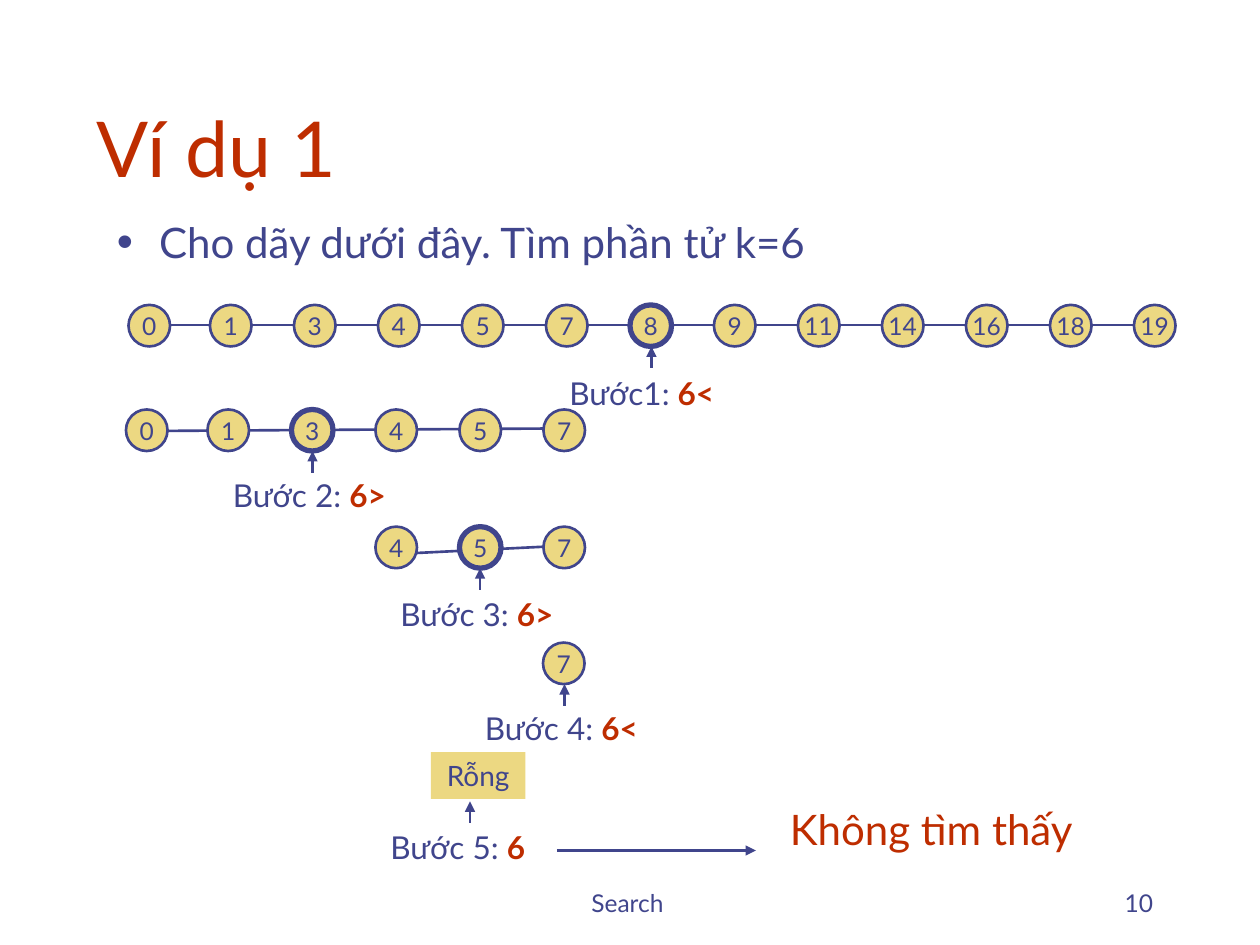
from lxml.etree import SubElement
from pptx import Presentation
from pptx.dml.color import RGBColor
from pptx.enum.shapes import MSO_CONNECTOR, MSO_SHAPE
from pptx.enum.text import MSO_ANCHOR, MSO_AUTO_SIZE, PP_ALIGN
from pptx.oxml.ns import qn
from pptx.util import Inches, Pt

INK, RED, GOLD = "40458C", "BE2D00", "ECD882"
SIZE, STEP = 0.33, 2 / 3
GROW = {"auto_size": MSO_AUTO_SIZE.SHAPE_TO_FIT_TEXT}
BASE = {"vertical_anchor": MSO_ANCHOR.BOTTOM}
ROWS = [
    (1.0, 2.42, [0, 1, 3, 4, 5, 7, 8, 9, 11, 14, 16, 18, 19], 8, (1.35, 2.58, 9, 2.58)),
    (0.98, 3.25, [0, 1, 3, 4, 5, 7], 3, (1.33, 3.42, 4.5, 3.4)),
    (2.98, 4.18, [4, 5, 7], 5, (3.08, 4.4, 4.5, 4.33)),
    (4.31, 5.1, [7], None, None),
]
STEPS = [
    (4.42, 2.92, "Bước1: ", "6<", 5.17, 2.92),
    (1.75, 3.73, "Bước 2: ", "6>", 2.48, 3.75),
    (3.08, 4.67, "Bước 3: ", "6>", 3.81, 4.68),
    (3.75, 5.58, "Bước 4: ", "6<", 4.48, 5.6),
    (3.0, 6.52, "Bước 5: ", "6", 3.73, 6.53),
]


def color(code):
    """Turn a hex string into a colour."""
    return RGBColor.from_string(code)


def apply(item, values):
    """Set each named value on the item."""
    for name, value in values.items():
        setattr(item, name, value)


def write(shape, runs, size, align, frame, gap=0):
    """Fill a shape with one paragraph of (text, colour, bold) runs."""
    apply(shape.text_frame, {"word_wrap": True, **frame})
    para = shape.text_frame.paragraphs[0]
    apply(para, {"alignment": align, "space_before": Pt(gap)})
    for text, code, bold in runs:
        run = para.add_run()
        run.text = text
        apply(run.font, {"name": "Lato", "size": Pt(size), "bold": bold})
        run.font.color.rgb = color(code)
    return para


def label(slide, box, runs, size, align=PP_ALIGN.JUSTIFY, frame=GROW, gap=0):
    """Add a text box and return its paragraph."""
    shape = slide.shapes.add_textbox(*map(Inches, box))
    return write(shape, runs, size, align, frame, gap)


def bullet(para):
    """Give a paragraph a round bullet with a hanging indent."""
    props = para._p.get_or_add_pPr()
    props.set("marL", str(Inches(0.25)))
    props.set("indent", str(-Inches(0.25)))
    tint = SubElement(props, qn("a:buClr"))
    SubElement(tint, qn("a:srgbClr"), val=INK)
    SubElement(props, qn("a:buSzPct"), val="110000")
    SubElement(props, qn("a:buFont"), typeface="Arial")
    SubElement(props, qn("a:buChar"), char="•")


def line(slide, ends, arrow=False):
    """Draw a straight line, with an arrowhead at its end if asked."""
    link = slide.shapes.add_connector(MSO_CONNECTOR.STRAIGHT, *map(Inches, ends))
    link.line.color.rgb = color(INK)
    link.line.width = Pt(1.5)
    if arrow:
        SubElement(link.line._get_or_add_ln(), qn("a:tailEnd"), type="triangle")
    SubElement(link._element.spPr, qn("a:effectLst"))


def block(slide, kind, box):
    """Add a gold shape without a shadow."""
    shape = slide.shapes.add_shape(kind, *map(Inches, box))
    shape.shadow.inherit = False
    shape.fill.solid()
    shape.fill.fore_color.rgb = color(GOLD)
    return shape


def node(slide, left, top, value, width):
    """Add a numbered circle."""
    shape = block(slide, MSO_SHAPE.OVAL, (left, top, SIZE, SIZE))
    shape.line.color.rgb = color(INK)
    shape.line.width = Pt(width)
    frame = {"word_wrap": False, "vertical_anchor": MSO_ANCHOR.MIDDLE}
    write(shape, [(str(value), INK, False)], 14, PP_ALIGN.CENTER, frame)


def chain(slide, left, top, values, pivot, ends):
    """Draw a row of circles on a line, with the pivot outlined boldly."""
    if ends:
        line(slide, ends)
    for i, value in enumerate(values):
        nudge = 0.02 if value == 0 else 0
        node(slide, left + i * STEP + nudge, top, value, 3 if value == pivot else 1.5)


def step(slide, left, top, name, test, tip, base):
    """Add a step label with a short arrow pointing up."""
    label(slide, (left, top, 1.75, 0.4), [(name, INK, False), (test, RED, True)], 18, gap=11.2)
    line(slide, (tip, base, tip, base - 0.17), True)


def main():
    """Build the slide and save it."""
    deck = Presentation()
    apply(deck, {"slide_width": Inches(10), "slide_height": Inches(7.5)})
    slide = deck.slides.add_slide(deck.slide_layouts[6])
    label(slide, (3.42, 6.83, 3.17, 0.5), [("Search ", INK, False)], 14, PP_ALIGN.CENTER, BASE)
    label(slide, (7.17, 6.83, 2.08, 0.5), [("10", INK, False)], 14, PP_ALIGN.RIGHT, BASE)
    label(slide, (0.67, 0.33, 8.5, 1.25), [("Ví dụ 1", RED, False)], 44, PP_ALIGN.LEFT, BASE)
    task = [(" Cho dãy dưới đây. Tìm phần tử k=6", INK, False)]
    bullet(label(slide, (0.83, 1.67, 8, 0.5), task, 24, gap=15))
    for row in ROWS:
        chain(slide, *row)
    for item in STEPS:
        step(slide, *item)
    empty = block(slide, MSO_SHAPE.RECTANGLE, (3.42, 5.97, 0.75, 0.37))
    empty.line.fill.background()
    frame = {"vertical_anchor": MSO_ANCHOR.TOP, **GROW}
    write(empty, [("Rỗng", INK, False)], 16, PP_ALIGN.CENTER, frame, 10)
    line(slide, (4.42, 6.75, 6, 6.75), True)
    label(slide, (6.17, 6.33, 3.08, 0.5), [("Không tìm thấy", RED, False)], 24, gap=15)
    deck.save("out.pptx")


if __name__ == "__main__":
    main()
